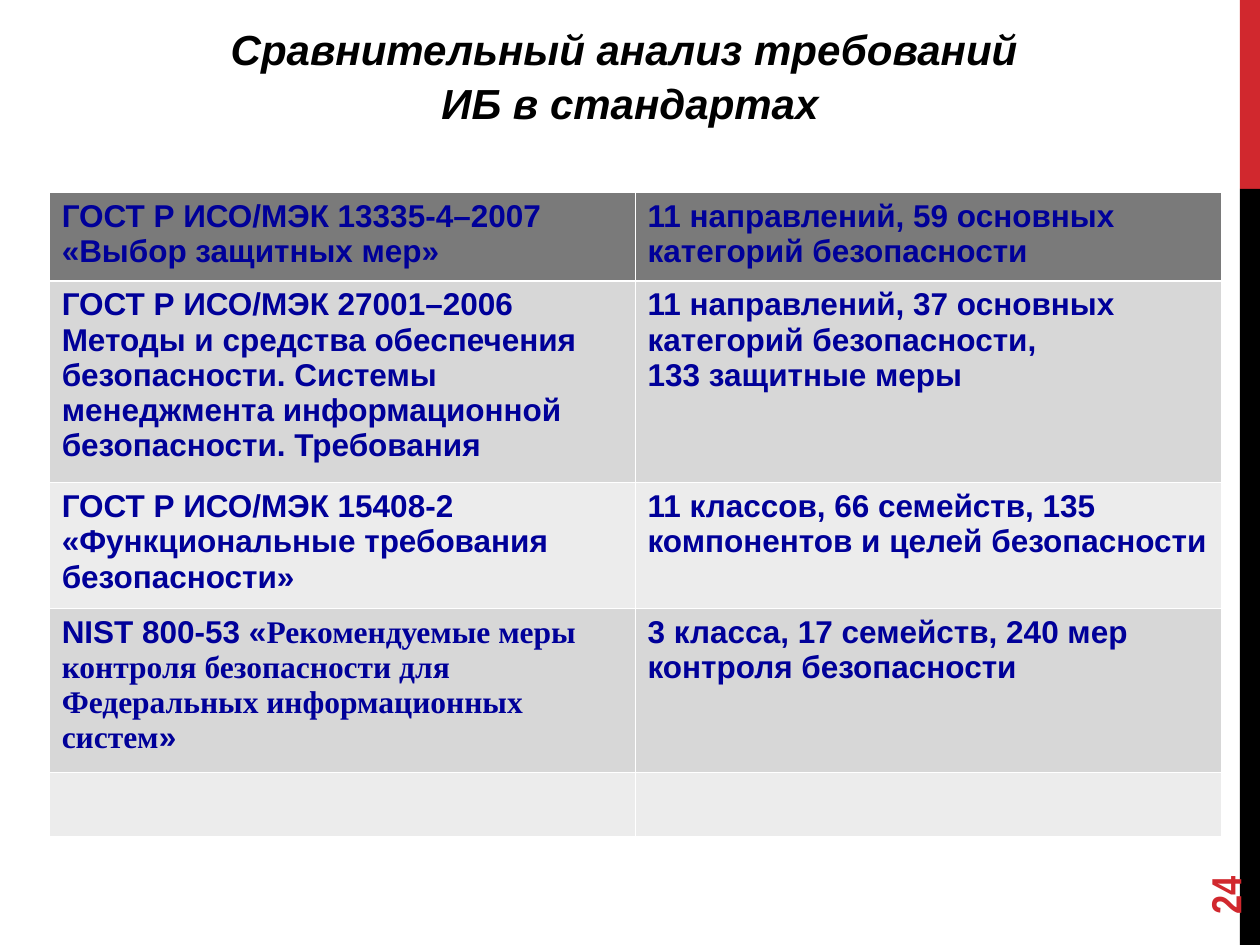
from collections import namedtuple
from dataclasses import dataclass

from lxml.etree import SubElement
from pptx import Presentation
from pptx.dml.color import RGBColor
from pptx.enum.shapes import MSO_SHAPE
from pptx.enum.text import MSO_ANCHOR, MSO_AUTO_SIZE, PP_ALIGN
from pptx.oxml.ns import qn
from pptx.util import Inches, Pt

Box = namedtuple("Box", "left top width height")


@dataclass(frozen=True)
class Theme:
    red: str = "D1282E"
    black: str = "000000"
    white: str = "FFFFFF"
    navy: str = "000099"
    head: str = "7A7A7A"
    bands: tuple = ("D7D7D7", "ECECEC")
    sans: str = "Arial"
    serif: str = "Times New Roman"
    narrow: str = "Arial Narrow"
    large: int = 24
    body: int = 18
    thin: float = 0.45
    thick: float = 1.47


THEME = Theme()

TITLE = ("Сравнительный анализ требований ", "ИБ в стандартах")
HEIGHTS = (0.7, 1.6, 1, 1.3, 0.51)
# Each cell holds paragraphs; a tuple is a paragraph with a serif middle run
ROWS = (
    (["ГОСТ Р ИСО/МЭК 13335-4–2007 «Выбор защитных мер»"],
     ["11 направлений, 59 основных категорий безопасности"]),
    (["ГОСТ Р ИСО/МЭК 27001–2006",
      "Методы и средства обеспечения безопасности. Системы менеджмента "
      "информационной безопасности. Требования"],
     ["11 направлений, 37 основных категорий безопасности,",
      "133 защитные меры"]),
    (["ГОСТ Р ИСО/МЭК 15408-2 «Функциональные требования безопасности»"],
     ["11 классов, 66 семейств, 135 компонентов и целей безопасности"]),
    ([("NIST 800-53 «",
       "Рекомендуемые меры контроля безопасности для Федеральных "
       "информационных систем", "»")],
     ["3 класса, 17 семейств, 240 мер контроля безопасности"]),
    ([], []),
)


def place(box):
    return [Inches(n) for n in box]


def style(run, size, color, face=THEME.sans, italic=False):
    font = run.font
    font.name, font.size = face, Pt(size)
    font.bold, font.italic = True, italic
    font.color.rgb = RGBColor.from_string(color)


def add_bar(slide, box):
    """Side bar: red top fifth, black below."""
    split = box.height / 5
    parts = ((0, split, THEME.red), (split, box.height - split, THEME.black))
    for top, height, color in parts:
        area = Box(box.left, box.top + top, box.width, height)
        bar = slide.shapes.add_shape(MSO_SHAPE.RECTANGLE, *place(area))
        bar.shadow.inherit = False
        bar.fill.solid()
        bar.fill.fore_color.rgb = RGBColor.from_string(color)
        bar.line.fill.background()


def add_number(slide, box, text):
    """Page number, turned to read upwards."""
    label = slide.shapes.add_textbox(*place(box))
    label.rotation = 270
    frame = label.text_frame
    frame.word_wrap = True
    frame.vertical_anchor = MSO_ANCHOR.MIDDLE
    frame.text = text
    style(frame.paragraphs[0].runs[0], THEME.large, THEME.red, THEME.narrow)


def add_title(slide, box):
    title = slide.shapes.title
    title.left, title.top, title.width, title.height = place(box)
    frame = title.text_frame
    frame.auto_size = MSO_AUTO_SIZE.NONE
    frame.vertical_anchor = MSO_ANCHOR.MIDDLE
    frame.text = "\n".join(TITLE)
    for para in frame.paragraphs:
        para.alignment = PP_ALIGN.CENTER
        para.space_before = Pt(2.5)
        style(para.runs[0], THEME.large, THEME.black, italic=True)


def set_edges(cell, row):
    """White cell borders, thicker under the heading row."""
    props = cell._tc.get_or_add_tcPr()
    heavy = {0: "B", 1: "T"}.get(row)
    for spot, side in enumerate("LRTB"):
        width = THEME.thick if side == heavy else THEME.thin
        line = props.makeelement(qn(f"a:ln{side}"), {"w": str(Pt(width))})
        props.insert(spot, line)
        fill = SubElement(line, qn("a:solidFill"))
        SubElement(fill, qn("a:srgbClr"), val=THEME.white)


def fill_cell(cell, paras, row):
    cell.fill.solid()
    color = THEME.bands[(row - 1) % 2] if row else THEME.head
    cell.fill.fore_color.rgb = RGBColor.from_string(color)
    set_edges(cell, row)
    frame = cell.text_frame
    for spot, parts in enumerate(paras):
        para = frame.add_paragraph() if spot else frame.paragraphs[0]
        parts = (parts,) if isinstance(parts, str) else parts
        for part, face in zip(parts, (THEME.sans, THEME.serif, THEME.sans)):
            run = para.add_run()
            run.text = part
            style(run, THEME.body, THEME.navy, face)


def add_grid(slide, box):
    """Comparison table with two equal columns."""
    count = len(ROWS[0])
    table = slide.shapes.add_table(len(ROWS), count, *place(box)).table
    for col in table.columns:
        col.width = Inches(box.width / count)
    for row, (height, cells) in enumerate(zip(HEIGHTS, ROWS)):
        table.rows[row].height = Inches(height)
        for col, paras in enumerate(cells):
            fill_cell(table.cell(row, col), paras, row)


def main():
    deck = Presentation()
    deck.slide_width, deck.slide_height = Inches(10), Inches(7.5)
    slide = deck.slides.add_slide(deck.slide_layouts[5])
    add_bar(slide, Box(9.84, 0, 0.16, 7.5))
    add_number(slide, Box(9, 6.44, 1.44, 0.4), "24")
    add_title(slide, Box(0, 0.18, 10, 0.84))
    add_grid(slide, Box(0.39, 1.53, 9.3, sum(HEIGHTS)))
    deck.save("out.pptx")


if __name__ == "__main__":
    main()
